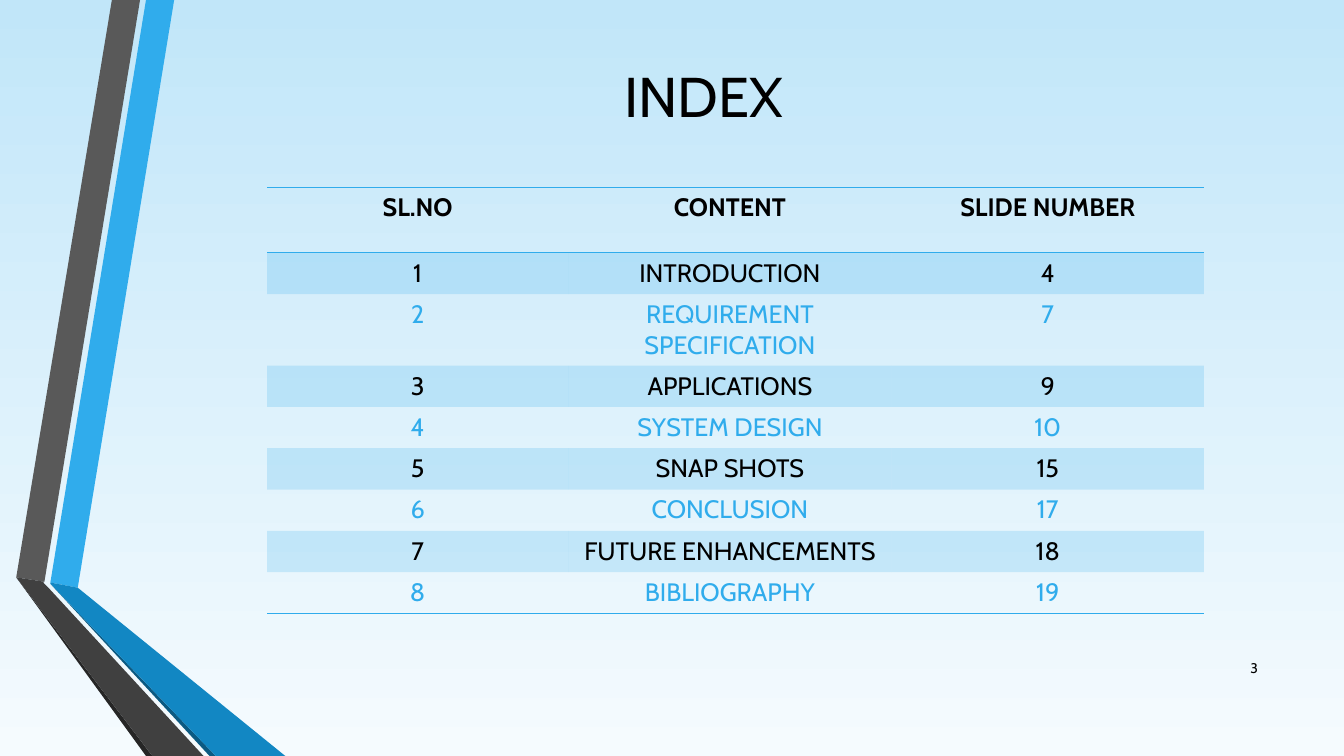
from lxml import etree
from pptx import Presentation
from pptx.dml.color import RGBColor
from pptx.enum.text import MSO_ANCHOR, PP_ALIGN
from pptx.oxml.ns import qn
from pptx.util import Cm, Pt

CENTER, RIGHT = PP_ALIGN.CENTER, PP_ALIGN.RIGHT
MIDDLE = MSO_ANCHOR.MIDDLE
FONT = "Cabin"
BLACK, BLUE = "000000", "30ACEC"
NO_STYLE = "{2D5ABB26-0587-4C30-8999-92F81FD0307C}"


def rgb(value):
    return RGBColor.from_string(value)


def write(frame, text, size, color=BLACK, align=CENTER, bold=False):
    frame.text = text
    paragraph = frame.paragraphs[0]
    paragraph.alignment = align
    font = paragraph.runs[0].font
    font.name, font.size, font.bold = FONT, Pt(size), bold
    font.color.rgb = rgb(color)


prs = Presentation()
prs.slide_width, prs.slide_height = Cm(33.87), Cm(19.05)
slide = prs.slides.add_slide(prs.slide_layouts[5])

sky = slide.background.fill
sky.gradient()
sky.gradient_angle = 270
for stop, color in zip(sky.gradient_stops, ("C1E6F9", "F5FBFE")):
    stop.color.rgb = rgb(color)

ribbons = [
    (BLUE, [(127, 1468), (196, 1481), (439, 0), (368, 0)]),
    ("595959", [(353, 0), (282, 0), (41, 1455), (112, 1466)]),
    ("262626", [(41, 1455), (368, 1905), (384, 1905)]),
    ("0C5A82", [(127, 1471), (528, 1905), (544, 1905)]),
    ("1287C3", [(127, 1471), (544, 1905), (719, 1905), (196, 1481), (127, 1468)]),
    ("404040", [(513, 1905), (122, 1481), (109, 1468), (112, 1466), (41, 1455), (384, 1905)]),
]
for color, points in ribbons:
    outline = slide.shapes.build_freeform(*points[0], scale=Cm(0.01))
    outline.add_line_segments(points[1:], close=True)
    ribbon = outline.convert_to_shape()
    ribbon.shadow.inherit = False
    ribbon.fill.solid()
    ribbon.fill.fore_color.rgb = rgb(color)
    ribbon.line.fill.background()

title = slide.shapes.title
title.left, title.top, title.width, title.height = Cm(8.13), Cm(0.99), Cm(19.2), Cm(2.82)
title.text_frame.vertical_anchor = MIDDLE
write(title.text_frame, "INDEX", 40)

entries = [
    ("SL.NO", "CONTENT", "SLIDE NUMBER"),
    ("1", "INTRODUCTION", "4"),
    ("2", "REQUIREMENT SPECIFICATION", "7"),
    ("3", "APPLICATIONS", "9"),
    ("4", "SYSTEM DESIGN", "10"),
    ("5", "SNAP SHOTS", "15"),
    ("6", "CONCLUSION", "17"),
    ("7", "FUTURE ENHANCEMENTS", "18"),
    ("8", "BIBLIOGRAPHY", "19"),
]
last = len(entries) - 1
index_frame = slide.shapes.add_table(
    len(entries), 3, Cm(6.73), Cm(4.72), Cm(23.61), Cm(10.69))
index = index_frame.table
index.horz_banding = False
index_frame._element.find(".//" + qn("a:tableStyleId")).text = NO_STYLE
for column, width in zip(index.columns, (7.59, 8.15, 7.87)):
    column.width = Cm(width)
for number, entry in enumerate(entries):
    index.rows[number].height = Cm(1.04 if number else 1.65)
    shaded = number % 2 == 1
    color = BLACK if shaded or number == 0 else BLUE
    rules = {0: ["a:lnT", "a:lnB"], last: ["a:lnB"]}.get(number, [])
    for column, text in enumerate(entry):
        cell = index.cell(number, column)
        write(cell.text_frame, text, 18, color, bold=number == 0)
        properties = cell._tc.get_or_add_tcPr()
        if shaded:
            cell.fill.solid()
            cell.fill.fore_color.rgb = rgb(BLUE)
            tint = properties.find(".//" + qn("a:srgbClr"))
            etree.SubElement(tint, qn("a:alpha"), val="20000")
        else:
            cell.fill.background()
        for position, tag in enumerate(rules):
            rule = etree.Element(qn(tag), w=str(Pt(1)))
            paint = etree.SubElement(rule, qn("a:solidFill"))
            etree.SubElement(paint, qn("a:srgbClr"), val=BLUE)
            properties.insert(position, rule)
index_frame.height = Cm(10.69)

page_number = slide.shapes.add_textbox(Cm(30.43), Cm(16.31), Cm(1.52), Cm(1.02))
page_number.text_frame.word_wrap = True
page_number.text_frame.vertical_anchor = MIDDLE
write(page_number.text_frame, "3", 10, align=RIGHT)

prs.save("out.pptx")
